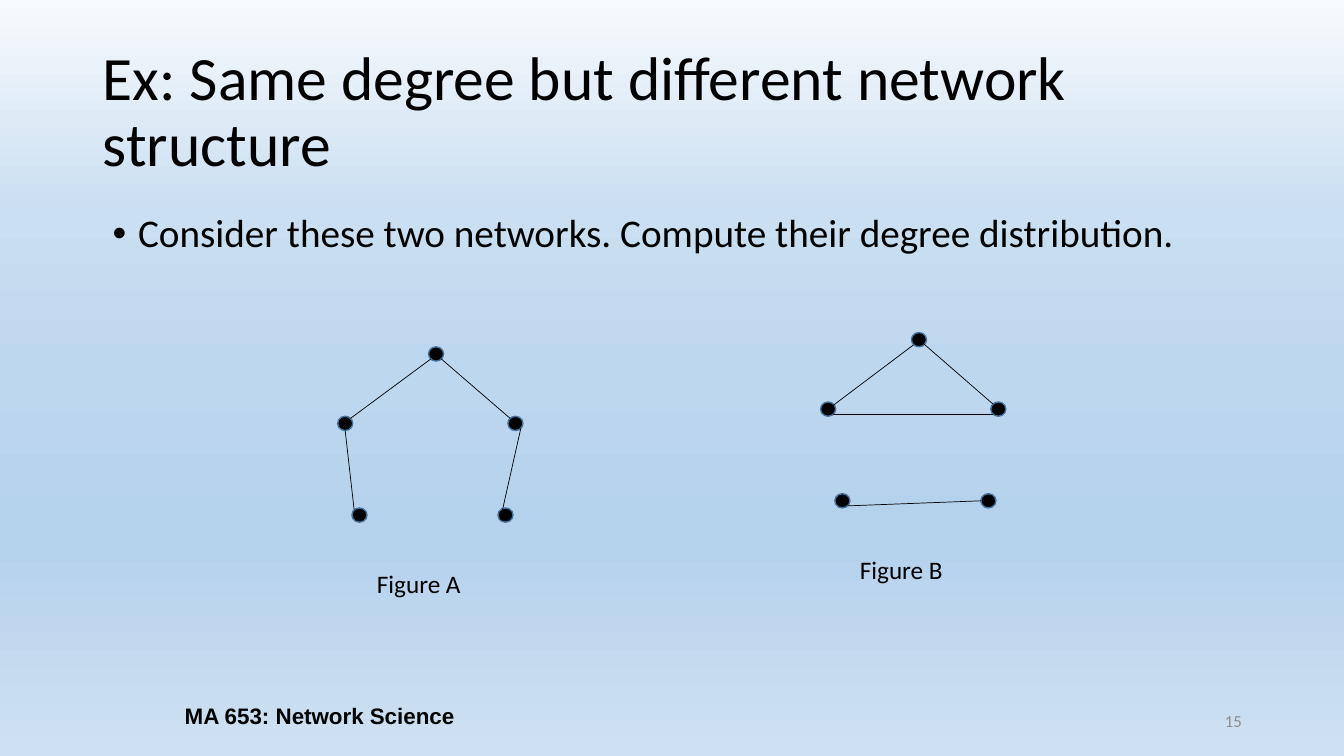
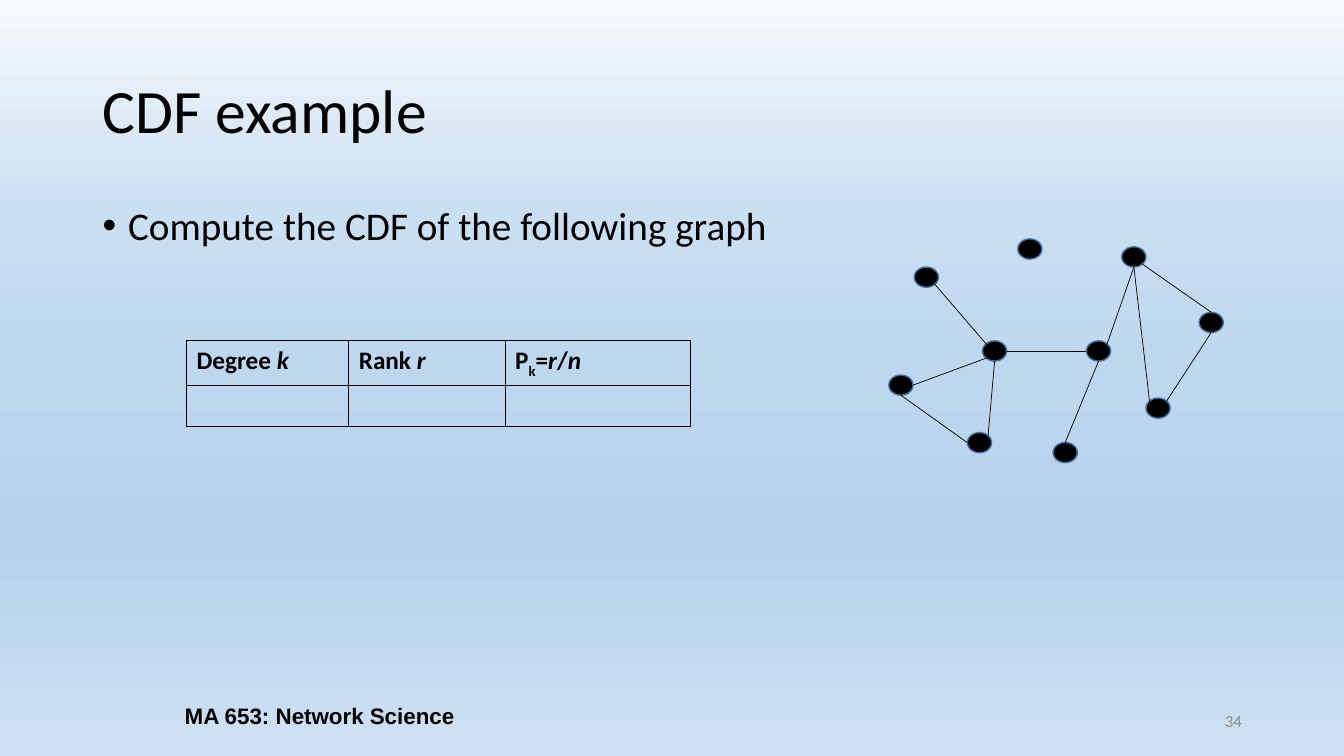
from lxml.etree import SubElement
from pptx import Presentation
from pptx.dml.color import RGBColor
from pptx.enum.shapes import MSO_CONNECTOR, MSO_SHAPE
from pptx.enum.text import MSO_ANCHOR, PP_ALIGN
from pptx.oxml import parse_xml
from pptx.oxml.ns import nsdecls, qn
from pptx.util import Cm, Pt

COLORS = {"text": "000000", "number": "8C8C8C", "node": "000000",
          "node_line": "43739E", "edge": "000000", "border": "000000"}
BACKGROUND_STOPS = [(0, "F7FAFD"), (28, "CADFF1"), (49, "BDD7EE"),
                    (71, "B5D2EC"), (72, "B5D2EC"), (100, "CEE1F2")]

TITLE_BOX = (2.34, 1.02, 29.21, 3.68)
FOOTER_BOX = (2.34, 17.53, 11.43, 1.02)
NUMBER_BOX = (23.93, 17.65, 7.62, 1.02)
BODY_SIZE = (29.21, 12.09)

TITLE_FORMAT = {"name": "Calibri", "size": Pt(44)}
BODY_FORMAT = {"name": "Calibri", "size": Pt(28)}
CAPTION_FORMAT = {"name": "Calibri", "size": Pt(18)}
HEADER_FORMAT = {"name": "Calibri", "size": Pt(18), "bold": True}
NUMBER_FORMAT = {"name": "Calibri", "size": Pt(12)}
FOOTER_FORMAT = {"name": "Arial", "size": Pt(16), "bold": True}

DIAGONAL = 0.71
SITES = {"C": (0, 0), "N": (0, -1), "S": (0, 1), "W": (-1, 0), "E": (1, 0),
         "NW": (-DIAGONAL, -DIAGONAL), "NE": (DIAGONAL, -DIAGONAL),
         "SW": (-DIAGONAL, DIAGONAL), "SE": (DIAGONAL, DIAGONAL)}

FIVE_NODES = [(0, 1.75), (2.29, 0), (4.29, 1.75), (0.36, 4.06), (4.04, 4.06)]
FIVE_NODE_SIZE = (0.38, 0.36)
FIGURES = [
    ("Figure A", (8.51, 8.74),
     [(1, "SW", 0, "NE"), (1, "SE", 2, "NW"), (0, "S", 3, "NW"), (2, "SE", 4, "SW")]),
    ("Figure B", (20.68, 8.38),
     [(1, "SW", 0, "C"), (1, "C", 2, "NW"), (0, "SE", 2, "SW"), (3, "SE", 4, "W")]),
]

TEN_NODES = [(0.64, 0.71), (2.36, 2.57), (0, 3.43), (1.98, 4.88), (4.98, 2.57),
             (4.14, 5.13), (5.87, 0.2), (6.48, 4.01), (7.82, 1.85), (3.25, 0)]
TEN_NODE_SIZE = (0.61, 0.51)
TEN_NODE_EDGES = [(0, "SE", 1, "NW"), (2, "E", 1, "SW"), (1, "S", 3, "NE"),
                  (2, "S", 3, "W"), (1, "E", 4, "W"), (6, "S", 4, "NE"),
                  (4, "S", 5, "N"), (6, "S", 7, "NW"), (6, "SE", 8, "N"),
                  (8, "S", 7, "NE")]

TABLE_COLUMNS = [4.09, 3.94, 4.67]
ROW_HEIGHT = 1.03
HEADERS = [
    [("Degree ", ""), ("k", "italic")],
    [("Rank ", ""), ("r", "italic")],
    [("P", ""), ("k", "subscript"), ("=", ""), ("r", "italic"), ("/", ""), ("n", "italic")],
]


def rgb(name):
    """Return the named colour."""
    return RGBColor.from_string(COLORS[name])


def set_format(target, values):
    """Set every attribute in the dict on the target."""
    for name, value in values.items():
        setattr(target, name, value)


def set_background(master):
    """Give the slide master the shared vertical gradient."""
    fill = master.background.fill
    fill.gradient()
    fill.gradient_angle = 270
    stops = next(master.element.iter(qn("a:gsLst")))
    for stop in list(stops):
        stops.remove(stop)
    for position, color in BACKGROUND_STOPS:
        stop = SubElement(stops, qn("a:gs"), pos=str(position * 1000))
        SubElement(stop, qn("a:srgbClr"), val=color)


def add_text(slide, box, text, font_format, color="text", frame_format=None,
             paragraph_format=None):
    """Add a one-paragraph text box and return its paragraph."""
    frame = slide.shapes.add_textbox(*map(Cm, box)).text_frame
    set_format(frame, {"word_wrap": True, **(frame_format or {})})
    paragraph = frame.paragraphs[0]
    set_format(paragraph, paragraph_format or {})
    run = paragraph.add_run()
    run.text = text
    set_format(run.font, font_format)
    run.font.color.rgb = rgb(color)
    return paragraph


def add_bullet(slide, left, top, text):
    """Add the body text with a hanging bullet."""
    paragraph = add_text(slide, (left, top, *BODY_SIZE), text, BODY_FORMAT,
                         paragraph_format={"line_spacing": 0.9, "space_before": Pt(10)})
    properties = paragraph._p.get_or_add_pPr()
    indent = Cm(0.64)
    properties.set("marL", str(indent))
    properties.set("indent", str(-indent))
    SubElement(properties, qn("a:buFont"), typeface="Arial")
    SubElement(properties, qn("a:buChar"), char="•")


def add_base_slide(presentation, title, number):
    """Add a blank slide with title, course footer and slide number."""
    slide = presentation.slides.add_slide(presentation.slide_layouts[6])
    middle = {"vertical_anchor": MSO_ANCHOR.MIDDLE}
    add_text(slide, TITLE_BOX, title, TITLE_FORMAT, frame_format=middle,
             paragraph_format={"line_spacing": 0.9})
    add_text(slide, NUMBER_BOX, number, NUMBER_FORMAT, "number", middle,
             {"alignment": PP_ALIGN.RIGHT})
    add_text(slide, FOOTER_BOX, "MA 653: Network Science", FOOTER_FORMAT,
             frame_format=middle, paragraph_format={"alignment": PP_ALIGN.CENTER})
    return slide


def add_graph(slide, left, top, nodes, node_size, edges):
    """Draw a grouped graph whose edges run between compass points of nodes."""
    width, height = node_size
    shapes = slide.shapes.add_group_shape().shapes

    def site_point(index, site):
        """Return the position of a compass point on a node."""
        x, y = nodes[index]
        across, down = SITES[site]
        return (Cm(left + x + width * (1 + across) / 2),
                Cm(top + y + height * (1 + down) / 2))

    for x, y in nodes:
        node = shapes.add_shape(MSO_SHAPE.OVAL, Cm(left + x), Cm(top + y),
                                Cm(width), Cm(height))
        node.shadow.inherit = False
        node.fill.solid()
        node.fill.fore_color.rgb = rgb("node")
        node.line.color.rgb = rgb("node_line")
        node.line.width = Pt(1)
    for start, start_site, end, end_site in edges:
        edge = shapes.add_connector(MSO_CONNECTOR.STRAIGHT,
                                    *site_point(start, start_site),
                                    *site_point(end, end_site))
        edge.line.color.rgb = rgb("edge")
        edge.line.width = Pt(0.5)
        SubElement(edge._element.spPr, qn("a:effectLst"))


def add_figure(slide, left, top, caption, edges):
    """Draw a five-node graph with its caption below."""
    add_graph(slide, left, top, FIVE_NODES, FIVE_NODE_SIZE, edges)
    add_text(slide, (left + 0.74, top + 5.46, 2.64, 1.02), caption, CAPTION_FORMAT,
             frame_format={"word_wrap": False})


def style_cell(cell):
    """Clear the cell's fill and draw its four borders."""
    cell.fill.background()
    properties = cell._tc.get_or_add_tcPr()
    for index, side in enumerate(("lnL", "lnR", "lnT", "lnB")):
        properties.insert(index, parse_xml(
            f'<a:{side} {nsdecls("a")} w="{Pt(1)}"><a:solidFill>'
            f'<a:srgbClr val="{COLORS["border"]}"/></a:solidFill></a:{side}>'))


def add_rank_table(slide, left, top):
    """Add the degree and rank table with an empty row to fill in."""
    table = slide.shapes.add_table(2, len(HEADERS), Cm(left), Cm(top),
                                   Cm(sum(TABLE_COLUMNS)), Cm(2 * ROW_HEIGHT)).table
    set_format(table, {"first_row": False, "horz_banding": False})
    for row in table.rows:
        row.height = Cm(ROW_HEIGHT)
    for column, width in zip(table.columns, TABLE_COLUMNS):
        column.width = Cm(width)
    for cell in table.iter_cells():
        style_cell(cell)
    for cell, pieces in zip(table.rows[0].cells, HEADERS):
        for text, style in pieces:
            run = cell.text_frame.paragraphs[0].add_run()
            run.text = text
            set_format(run.font, {**HEADER_FORMAT, "italic": style == "italic"})
            run.font.color.rgb = rgb("text")
            if style == "subscript":
                run._r.get_or_add_rPr().set("baseline", "-25000")


def add_structure_slide(presentation):
    """Build the slide that compares two networks."""
    slide = add_base_slide(presentation,
                           "Ex: Same degree but different network structure", "15")
    add_bullet(slide, 2.59, 5.26,
               "Consider these two networks. Compute their degree distribution.")
    for caption, (left, top), edges in FIGURES:
        add_figure(slide, left, top, caption, edges)


def add_cdf_slide(presentation):
    """Build the slide with the CDF exercise."""
    slide = add_base_slide(presentation, "CDF example", "34")
    add_bullet(slide, 2.34, 5.08, "Compute the CDF of the following graph")
    add_graph(slide, 22.4, 6.02, TEN_NODES, TEN_NODE_SIZE, TEN_NODE_EDGES)
    add_rank_table(slide, 4.7, 8.59)


def main():
    """Build and save the presentation."""
    presentation = Presentation()
    set_format(presentation, {"slide_width": Cm(33.87), "slide_height": Cm(19.05)})
    set_background(presentation.slide_master)
    add_structure_slide(presentation)
    add_cdf_slide(presentation)
    presentation.save("out.pptx")


if __name__ == "__main__":
    main()
